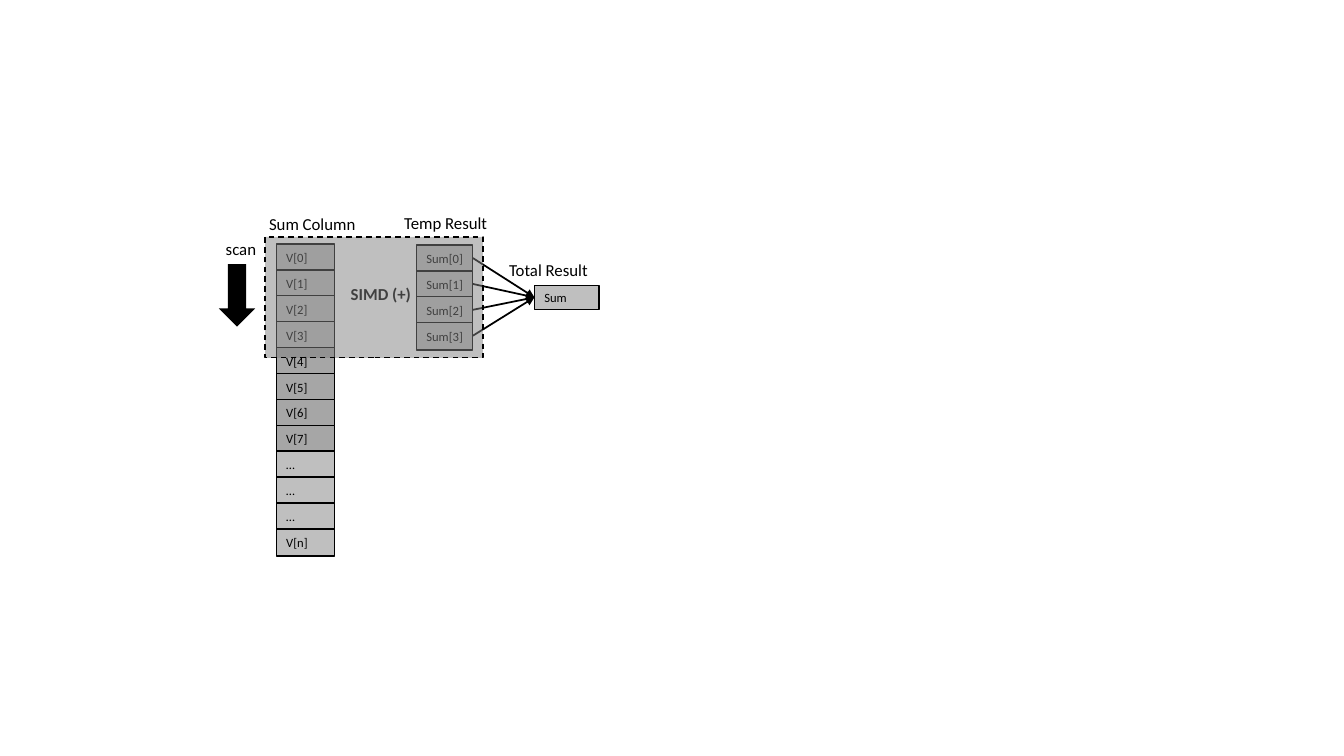
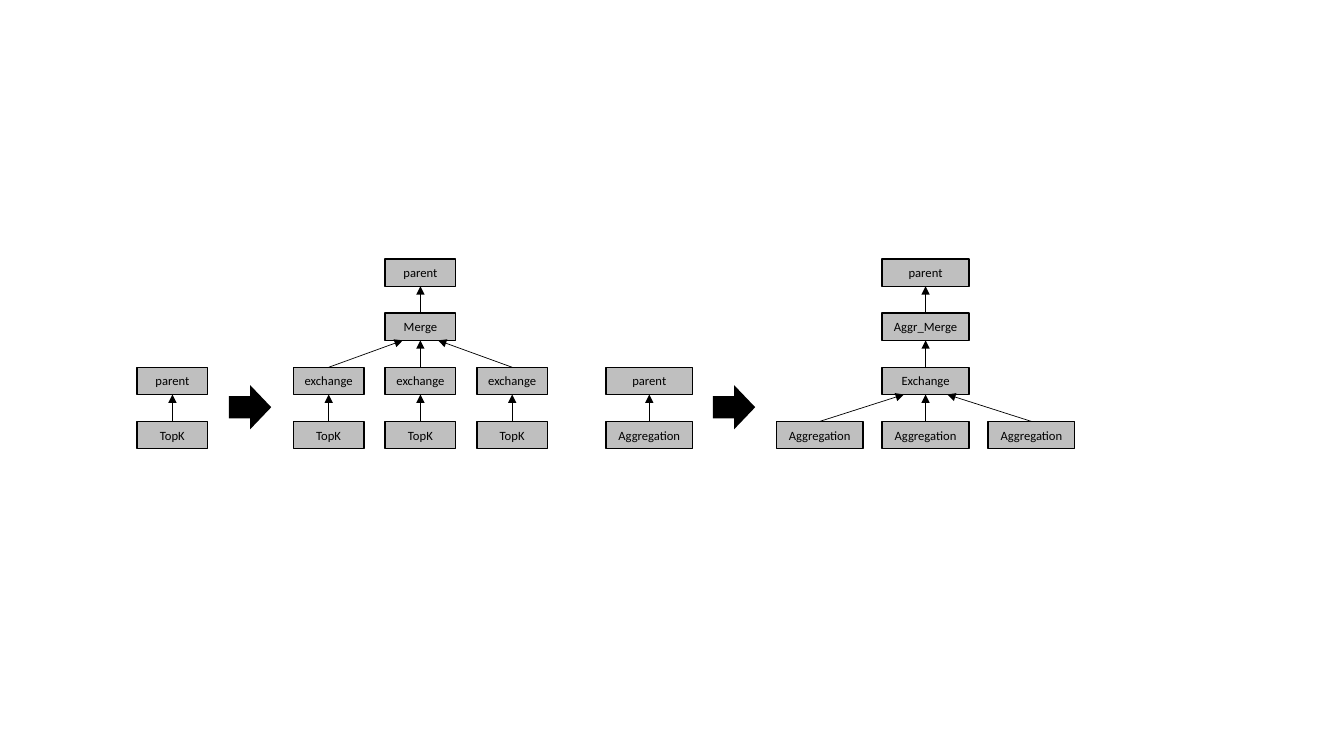
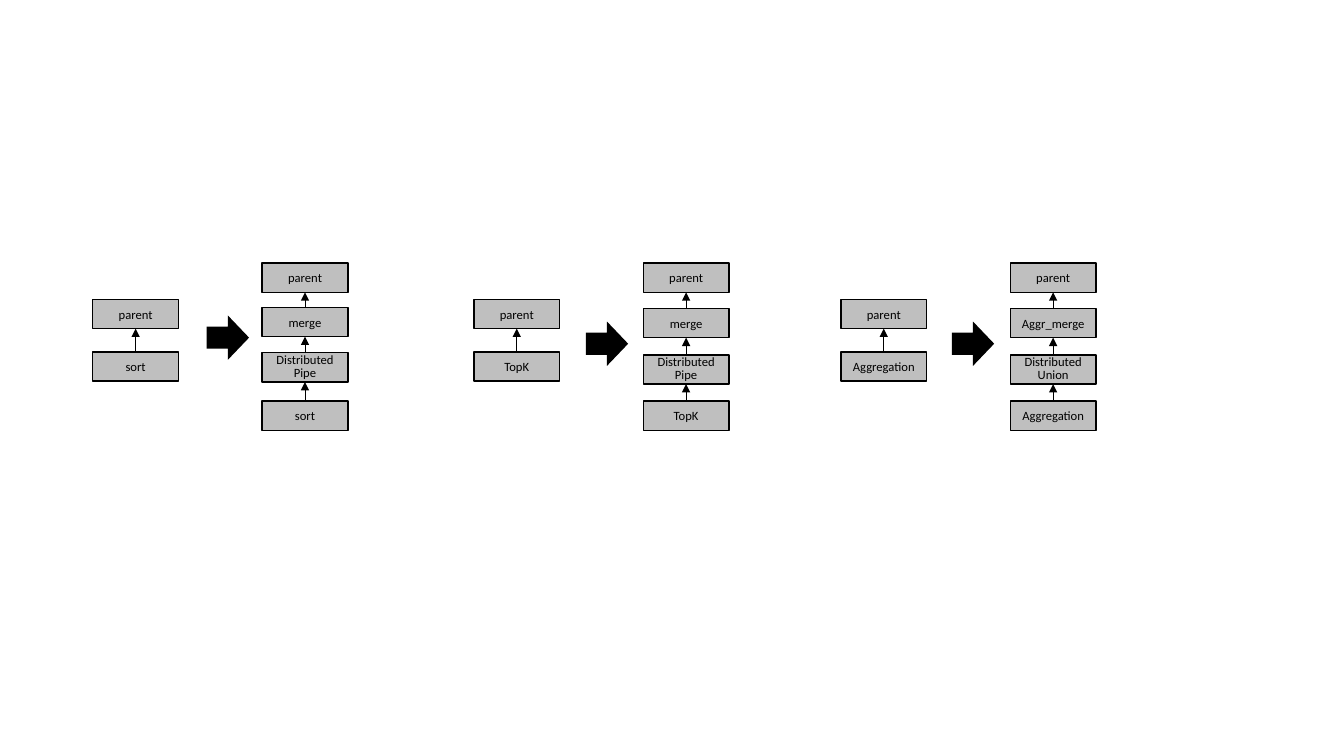
from lxml.etree import SubElement
from pptx import Presentation
from pptx.dml.color import RGBColor
from pptx.enum.dml import MSO_LINE
from pptx.enum.shapes import MSO_CONNECTOR, MSO_SHAPE
from pptx.enum.text import MSO_ANCHOR, MSO_AUTO_SIZE, PP_ALIGN
from pptx.oxml.ns import qn
from pptx.util import Inches, Pt

BLACK = RGBColor(0, 0, 0)
LIGHT = RGBColor(0xBF, 0xBF, 0xBF)
MID = RGBColor(0xA6, 0xA6, 0xA6)
DARK = RGBColor(0x80, 0x80, 0x80)
FONT = "Calibri"
TIGHT = 0.85

VALUES = [f"V[{i}]" for i in range(8)] + ["…"] * 3 + ["V[n]"]
SUMS = [f"Sum[{i}]" for i in range(4)]
CELL = 0.257
LABELS = [
    ("SIMD (+)", 3.38, 2.77, 0.81, True),
    ("Sum Column", 2.57, 2.07, 1.07, False),
    ("Temp Result", 3.91, 2.06, 1.04, False),
    ("scan", 2.14, 2.32, 0.51, False),
    ("Total Result", 4.95, 2.53, 0.99, False),
]

LEVELS = [2.57 + 0.537 * i for i in range(4)]
TREES = [
    dict(width=0.7, left=1.36, before=["parent", "TopK"], arrow=2.27, mid=3.82,
         pitch=0.91, after=["parent", "Merge", "exchange", "TopK"], side=2),
    dict(width=0.86, left=6.01, before=["parent", "Aggregation"], arrow=7.07, mid=8.75,
         pitch=1.05, after=["parent", "Aggr_Merge", "Exchange", "Aggregation"], side=3),
]

PAIR = [2.97, 3.49]
EVEN = [2.61, 3.06, 3.52, 3.98]
PLANS = [
    (0.92, "sort", 2.05, 3.13, ["merge", "Distributed Pipe"], [2.61, 3.05, 3.5, 3.98]),
    (4.7, "TopK", 5.81, 3.19, ["merge", "Distributed Pipe"], EVEN),
    (8.34, "Aggregation", 9.44, 3.19, ["Aggr_merge", "Distributed Union"], EVEN),
]


def write(frame, text, size, align, bold=False):
    para = frame.paragraphs[0]
    para.text = text
    para.alignment = align
    font = para.font
    font.name, font.size, font.bold = FONT, Pt(size), bold
    font.color.rgb = BLACK


def shape(slide, kind, x, y, w, h, fill):
    item = slide.shapes.add_shape(kind, Inches(x), Inches(y), Inches(w), Inches(h))
    item.shadow.inherit = False
    item.fill.solid()
    item.fill.fore_color.rgb = fill
    item.line.color.rgb = BLACK
    item.line.width = Pt(1)
    return item


def box(slide, text, x, y, w, h, fill=LIGHT, align=PP_ALIGN.CENTER):
    frame = shape(slide, MSO_SHAPE.RECTANGLE, x, y, w, h, fill).text_frame
    frame.word_wrap = True
    frame.vertical_anchor = MSO_ANCHOR.MIDDLE
    frame.margin_top = frame.margin_bottom = 0
    if align == PP_ALIGN.LEFT:
        frame.margin_right = 0
    write(frame, text, 9, align)
    if " " in text:
        frame.paragraphs[0].line_spacing = TIGHT


def block(slide, x, y, w=0.42, h=0.44):
    item = shape(slide, MSO_SHAPE.RIGHT_ARROW, x, y, w, h, BLACK)
    item.line.fill.background()
    return item


def link(slide, x1, y1, x2, y2, width=0.5):
    line = slide.shapes.add_connector(
        MSO_CONNECTOR.STRAIGHT, Inches(x1), Inches(y1), Inches(x2), Inches(y2))
    line.line.color.rgb = BLACK
    line.line.width = Pt(width)
    SubElement(line.line._get_or_add_ln(), qn("a:tailEnd"), type="triangle")
    SubElement(line._element.spPr, qn("a:effectLst"))


def stack(slide, names, x, tops, w, h):
    for i, (name, top) in enumerate(zip(names, tops)):
        box(slide, name, x, top, w, h)
        if i:
            link(slide, x + w / 2, top, x + w / 2, tops[i - 1] + h)


def scan(slide):
    left = PP_ALIGN.LEFT
    for i, name in enumerate(SUMS):
        box(slide, name, 4.13, 2.43 + CELL * i, 0.56, 0.27, align=left)
    block(slide, 2.04, 2.75, 0.62, 0.36).rotation = 90
    for text, x, y, w, bold in LABELS:
        label = slide.shapes.add_textbox(Inches(x), Inches(y), Inches(w), Inches(0.3))
        label.text_frame.auto_size = MSO_AUTO_SIZE.SHAPE_TO_FIT_TEXT
        label.text_frame.word_wrap = False
        write(label.text_frame, text, 12, left, bold)
    box(slide, "Sum", 5.3, 2.83, 0.64, 0.24, align=left)
    for i in range(len(SUMS)):
        link(slide, 4.69, 2.56 + CELL * i, 5.3, 2.95, 1.25)
    for i, name in enumerate(VALUES):
        fill = MID if 4 <= i < 8 else LIGHT
        box(slide, name, 2.74, 2.42 + CELL * i, 0.58, 0.27, fill, left)
    veil = shape(slide, MSO_SHAPE.RECTANGLE, 2.63, 2.35, 2.16, 1.2, DARK)
    veil.line.dash_style = MSO_LINE.DASH
    color = veil._element.spPr.find(qn("a:solidFill"))[0]
    SubElement(color, qn("a:alpha"), val="50000")


def trees(slide):
    h = 0.27
    for tree in TREES:
        w, mid, side = tree["width"], tree["mid"], tree["side"]
        stack(slide, tree["before"], tree["left"], LEVELS[2:], w, h)
        block(slide, tree["arrow"], 3.82)
        stack(slide, tree["after"], mid, LEVELS, w, h)
        for sign in (-1, 1):
            x = mid + sign * tree["pitch"]
            stack(slide, tree["after"][side:], x, LEVELS[side:], w, h)
            link(slide, x + w / 2, LEVELS[side],
                 mid + w / 2 + sign * w / 4, LEVELS[side - 1] + h)


def plans(slide):
    w, h = 0.85, 0.29
    for left, leaf, x, y, inner, tops in PLANS:
        stack(slide, ["parent", leaf], left, PAIR, w, h)
        block(slide, x, y)
        stack(slide, ["parent", *inner, leaf], left + 1.68, tops, w, h)


def main():
    deck = Presentation()
    deck.slide_width, deck.slide_height = Inches(13.33), Inches(7.5)
    for draw in (scan, trees, plans):
        draw(deck.slides.add_slide(deck.slide_layouts[6]))
    deck.save("out.pptx")


if __name__ == "__main__":
    main()
